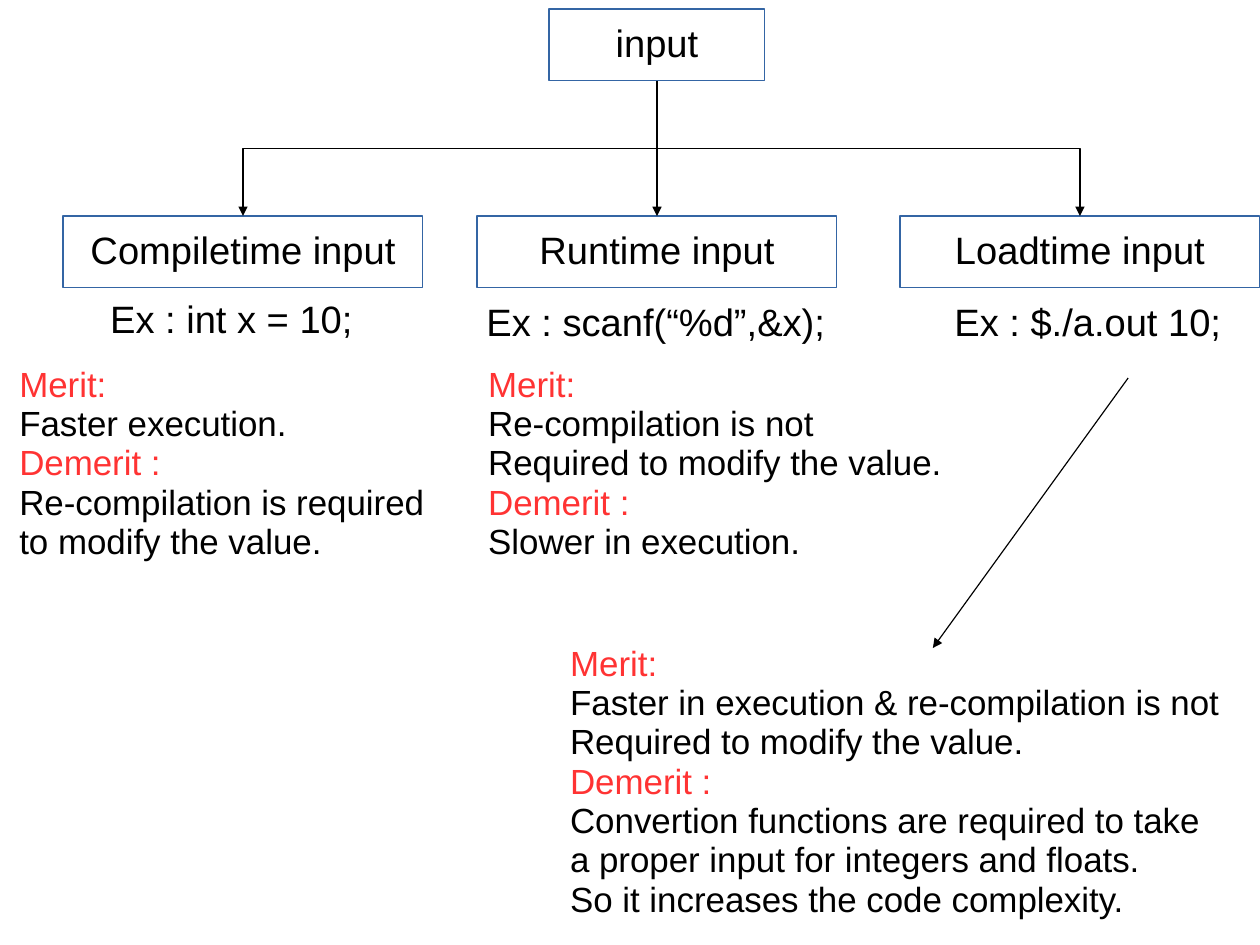
"""Draw a tree of C input kinds with the merits and demerits of each."""
from dataclasses import dataclass

from lxml import etree
from pptx import Presentation
from pptx import util as u
from pptx.dml import color
from pptx.enum import shapes, text
from pptx.oxml import ns

HUES = {"ink": "000000", "head": "FF3333", "edge": "3465A4", "paper": "FFFFFF"}
HEADS = ("Merit:", "Demerit :")
HIGH = 1.6
ROOT_TOP, KIND_TOP = 0.2, 4.8


@dataclass
class Box:
    left: float
    top: float
    width: float
    label: str

    @property
    def mid(self) -> float:
        return self.left + self.width / 2


@dataclass
class Note:
    left: float
    top: float
    width: float
    height: float
    size: int
    lines: tuple[str, ...]


ROOT = Box(12.2, ROOT_TOP, 4.8, "input")
KINDS = [
    Box(1.4, KIND_TOP, 8, "Compiletime input"),
    Box(10.6, KIND_TOP, 8, "Runtime input"),
    Box(20, KIND_TOP, 8, "Loadtime input"),
]
NOTES = [
    Note(2.2, 6.52, 5.9, 1.27, 24, ("Ex : int x = 10;",)),
    Note(10.56, 6.6, 8.05, 1.27, 24, ("Ex : scanf(“%d”,&x);",)),
    Note(20.96, 6.6, 6.45, 1.27, 24, ("Ex : $./a.out 10;",)),
    Note(0.18, 8, 9.52, 4.67, 22, (
        "Merit:", "Faster execution.", "Demerit :",
        "Re-compilation is required", "to modify the value.")),
    Note(10.6, 8, 10.6, 4.67, 22, (
        "Merit:", "Re-compilation is not", "Required to modify the value.",
        "Demerit :", "Slower in execution.")),
    Note(12.42, 14.2, 15.2, 5.56, 22, (
        "Merit:", "Faster in execution & re-compilation is not",
        "Required to modify the value.", "Demerit :",
        "Convertion functions are required to take",
        "a proper input for integers and floats.",
        "So it increases the code complexity.")),
]


def tint(name: str) -> color.RGBColor:
    return color.RGBColor.from_string(HUES[name])


def write(frame, lines: tuple[str, ...], size: int, align) -> None:
    frame.word_wrap = False
    for row, line in enumerate(lines):
        para = frame.add_paragraph() if row else frame.paragraphs[0]
        para.alignment = align
        para.line_spacing = 0.94
        run = para.add_run()
        run.text = line
        run.font.name = "Arial"
        run.font.size = u.Pt(size)
        run.font.color.rgb = tint("head" if line in HEADS else "ink")


def draw_box(slide, box: Box) -> None:
    shape = slide.shapes.add_shape(
        shapes.MSO_SHAPE.RECTANGLE, u.Cm(box.left), u.Cm(box.top),
        u.Cm(box.width), u.Cm(HIGH))
    shape.shadow.inherit = False
    shape.fill.solid()
    shape.fill.fore_color.rgb = tint("paper")
    shape.line.color.rgb = tint("edge")
    shape.line.width = u.Pt(0.75)
    shape.text_frame.vertical_anchor = text.MSO_ANCHOR.MIDDLE
    write(shape.text_frame, (box.label,), 24, text.PP_ALIGN.CENTER)


def draw_note(slide, note: Note) -> None:
    shape = slide.shapes.add_textbox(
        u.Cm(note.left), u.Cm(note.top), u.Cm(note.width), u.Cm(note.height))
    write(shape.text_frame, note.lines, note.size, text.PP_ALIGN.LEFT)


def arrow(slide, x1: float, y1: float, x2: float, y2: float,
          kind=shapes.MSO_CONNECTOR.STRAIGHT):
    line = slide.shapes.add_connector(
        kind, u.Cm(x1), u.Cm(y1), u.Cm(x2), u.Cm(y2))
    line.line.color.rgb = tint("ink")
    line.line.width = u.Pt(0.75)
    props = line.element.spPr
    tail = etree.SubElement(props.find(ns.qn("a:ln")), ns.qn("a:tailEnd"))
    tail.set("type", "triangle")
    etree.SubElement(props, ns.qn("a:effectLst"))
    return line


def branch(slide, x1: float, y1: float, x2: float, y2: float) -> None:
    """Draw an elbow that leaves downwards, as a turned connector."""
    side = 1 if x2 > x1 else -1
    midx, midy = (x1 + x2) / 2, (y1 + y2) / 2
    halfx, halfy = (y2 - y1) / 2, abs(x2 - x1) / 2
    line = arrow(slide, midx + side * halfx, midy - halfy,
                 midx - side * halfx, midy + halfy,
                 shapes.MSO_CONNECTOR.ELBOW)
    turn = 270 if side > 0 else 90
    line.element.spPr.find(ns.qn("a:xfrm")).set("rot", str(turn * 60000))


def main() -> None:
    deck = Presentation()
    deck.slide_width, deck.slide_height = u.Cm(28), u.Cm(21)
    slide = deck.slides.add_slide(deck.slide_layouts[6])
    for box in [ROOT, *KINDS]:
        draw_box(slide, box)
    for kind in KINDS:
        if kind.mid == ROOT.mid:
            arrow(slide, ROOT.mid, 3.2, kind.mid, KIND_TOP)
        else:
            branch(slide, ROOT.mid, ROOT_TOP + HIGH, kind.mid, KIND_TOP)
    for note in NOTES:
        draw_note(slide, note)
    arrow(slide, 25.07, 8.4, 20.73, 14.4)
    deck.save("out.pptx")


if __name__ == "__main__":
    main()
